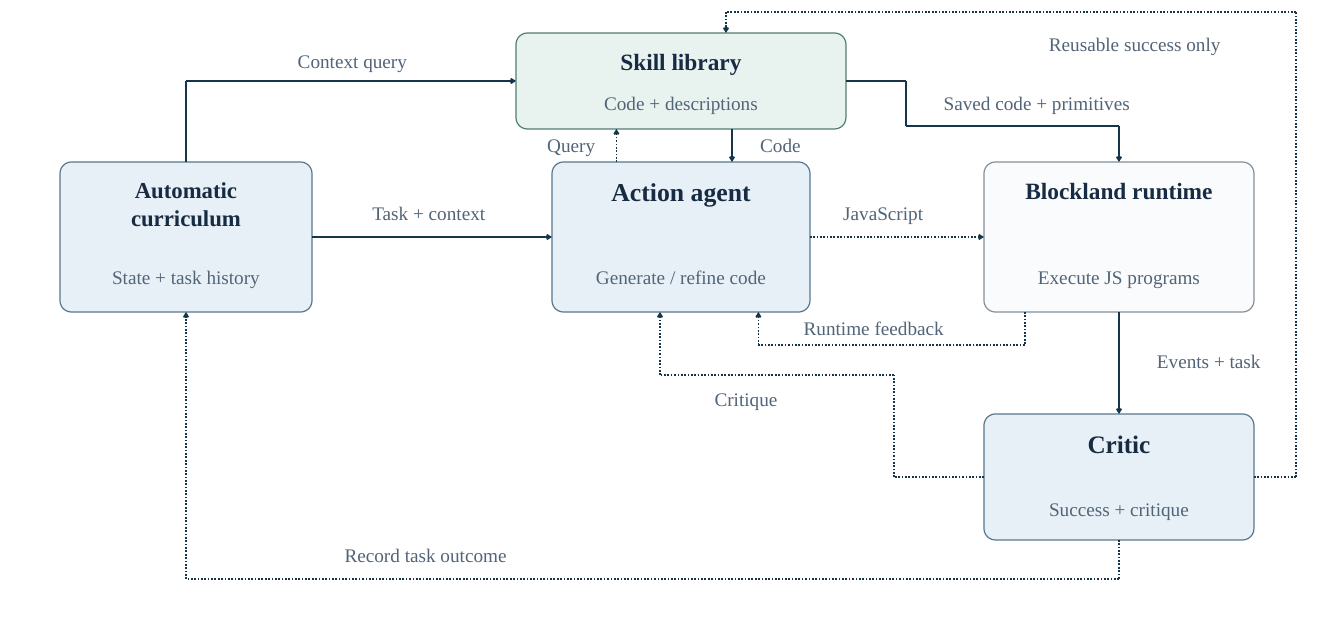
from itertools import pairwise

from pptx import Presentation
from pptx.dml.color import RGBColor
from pptx.enum.dml import MSO_LINE as Dash
from pptx.enum.shapes import MSO_CONNECTOR as Link, MSO_SHAPE as Kind
from pptx.enum.text import MSO_ANCHOR as Anchor, PP_ALIGN as Align
from pptx.oxml.ns import qn
from pptx.util import Pt
from lxml.etree import SubElement

rgb = RGBColor.from_string
TITLE = {"name": "Times New Roman", "bold": True}
LABEL = {"name": "Times New Roman", "bold": False, "size": Pt(24)}
FRAME = {"margin_left": 0, "margin_right": 0, "margin_top": 0,
         "margin_bottom": 0, "word_wrap": False,
         "vertical_anchor": Anchor.MIDDLE}

deck = Presentation()
deck.slide_width, deck.slide_height = Pt(1680), Pt(772.5)
slide = deck.slides.add_slide(deck.slide_layouts[6])
shapes = slide.shapes


def write(text, x, y, w, h, style, color):
    """Add centred text, one paragraph per line."""
    frame = shapes.add_textbox(Pt(x), Pt(y), Pt(w), Pt(h)).text_frame
    for key, value in FRAME.items():
        setattr(frame, key, value)
    frame.text = text
    for para in frame.paragraphs:
        para.alignment = Align.CENTER
        for key, value in style.items():
            setattr(para.font, key, value)
        para.font.color.rgb = rgb(color)


# title, title size, caption, caption top, x, y, w, h, fill, line
boxes = [
    ("Automatic\ncurriculum", 28.5, "State + task history", 332.5,
     75, 202.5, 315, 187.5, "E8F0F7", "59778E"),
    ("Action agent", 32.2, "Generate / refine code", 332.5,
     690, 202.5, 322.5, 187.5, "E8F0F7", "59778E"),
    ("Blockland runtime", 29.2, "Execute JS programs", 332.5,
     1230, 202.5, 337.5, 187.5, "FAFBFC", "839099"),
    ("Critic", 31.5, "Success + critique", 622,
     1230, 517.5, 337.5, 157.5, "E8F0F7", "59778E"),
    ("Skill library", 29.2, "Code + descriptions", 114.5,
     645, 41.25, 412.5, 120, "E8F3EF", "507E71"),
]
sites = {}
for title, size, caption, low, x, y, w, h, fill, line in boxes:
    box = shapes.add_shape(Kind.ROUNDED_RECTANGLE, Pt(x), Pt(y), Pt(w), Pt(h))
    box.adjustments[0] = 14.25 / h
    box.shadow.inherit = False
    box.fill.solid()
    box.fill.fore_color.rgb = rgb(fill)
    box.line.color.rgb = rgb(line)
    box.line.width = Pt(1.5)
    mids = [(x + w / 2, y), (x, y + h / 2), (x + w / 2, y + h), (x + w, y + h / 2)]
    for side, mid in enumerate(mids):
        sites[mid] = box, side
    rows = title.count("\n") + 1
    write(title, x + 13.5, y + 18, w - 27, rows * size * 1.18,
          TITLE | {"size": Pt(size)}, "172B42")
    write(caption, x + 13.5, low, w - 27, 28, LABEL, "526477")

# dotted?, corner points
routes = [
    (False, [(390, 296.25), (690, 296.25)]),
    (True, [(1012.5, 296.25), (1230, 296.25)]),
    (False, [(1398.75, 390), (1398.75, 517.5)]),
    (True, [(1281, 390), (1281, 431.25), (948, 431.25), (948, 390)]),
    (True, [(1230, 596.25), (1117.5, 596.25), (1117.5, 468.75),
            (825, 468.75), (825, 390)]),
    (True, [(1567.5, 596.25), (1620, 596.25), (1620, 15),
            (907.5, 15), (907.5, 41.25)]),
    (False, [(915, 161.25), (915, 202.5)]),
    (False, [(232.5, 202.5), (232.5, 101.25), (645, 101.25)]),
    (True, [(770.5, 202.5), (770.5, 161.25)]),
    (False, [(1057.5, 101.25), (1132.5, 101.25), (1132.5, 157.5),
             (1398.75, 157.5), (1398.75, 202.5)]),
    (True, [(1398.75, 675), (1398.75, 723.75), (232.5, 723.75), (232.5, 390)]),
]
for dotted, points in routes:
    for start, end in pairwise(points):
        wire = shapes.add_connector(Link.STRAIGHT, *map(Pt, start + end))
        if start in sites:
            wire.begin_connect(*sites[start])
        if end in sites:
            wire.end_connect(*sites[end])
        wire.line.color.rgb = rgb("15354A")
        wire.line.width = Pt(2.1)
        if dotted:
            wire.line.dash_style = Dash.ROUND_DOT
        if end == points[-1]:
            SubElement(wire.line._get_or_add_ln(), qn("a:tailEnd"), type="arrow")
        SubElement(wire._element.spPr, qn("a:effectLst"))

labels = [
    ("Task + context", 453.5, 250.5, 165),
    ("JavaScript", 1042.5, 250.5, 123),
    ("Events + task", 1433, 435, 156),
    ("Runtime feedback", 990, 394, 204.5),
    ("Critique", 885, 482.5, 95),
    ("Reusable success only", 1290, 39.5, 257),
    ("Code", 941, 165, 69),
    ("Context query", 360, 60, 161),
    ("Query", 675, 165, 78),
    ("Saved code + primitives", 1163, 113, 266),
    ("Record task outcome", 412.5, 678, 239),
]
for text, x, y, w in labels:
    write(text, x, y, w, 31, LABEL, "526477")

deck.save("out.pptx")
